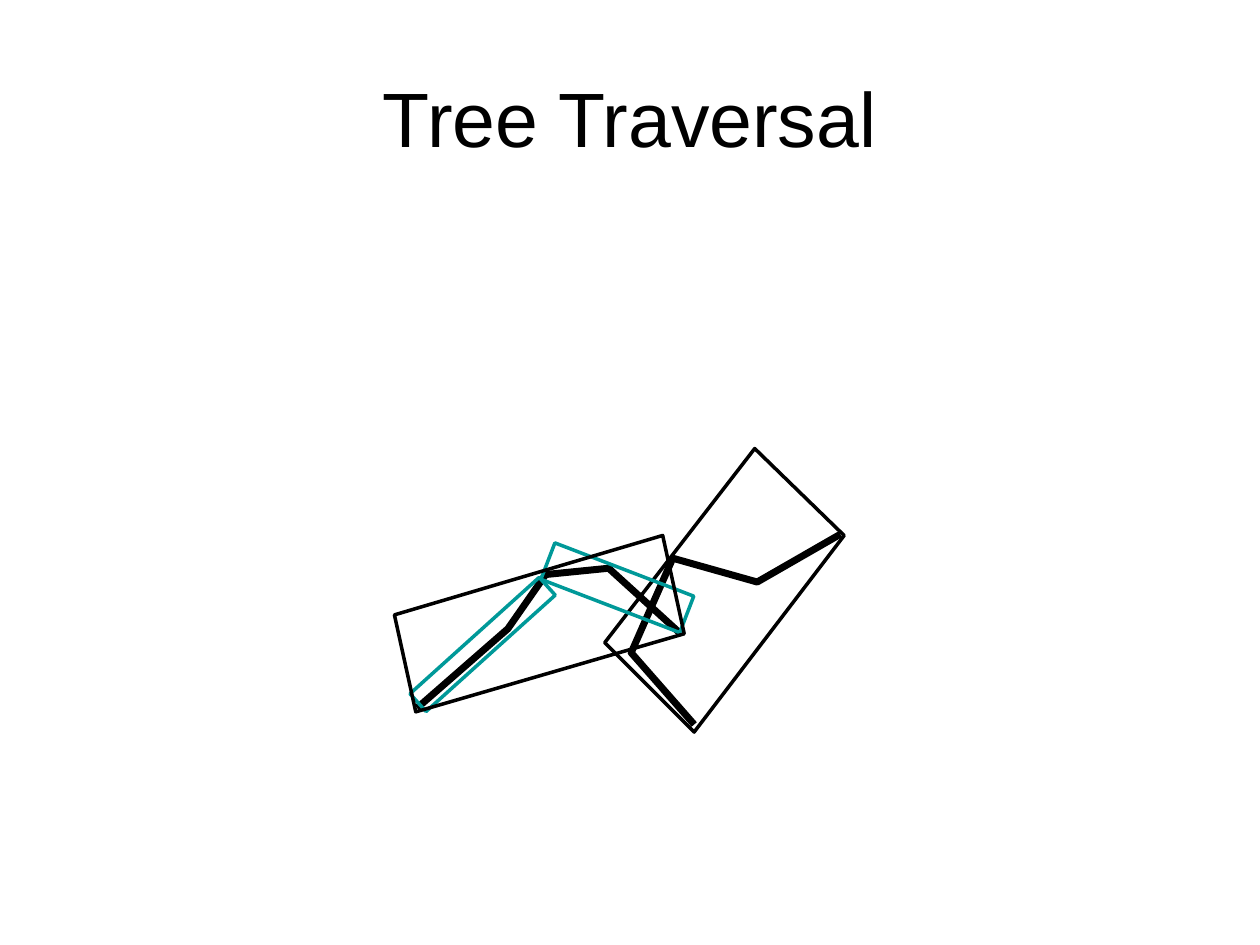
import pptx
import pptx.util
import pptx.dml.color
import pptx.enum.shapes
import pptx.enum.text

Pt = pptx.util.Pt
BLACK, TEAL = "000000", "009999"
THICK, THIN = 4, 2

left_curve = [(238.3, 404.6), (290.2, 359.3), (311.8, 328.3), (347.8, 324.7), (388.1, 361.4)]
right_curve = [(396.7, 414), (360.7, 373), (384.5, 319), (432.7, 332.6), (480.2, 305.3)]
left_box = [(378.7, 306), (391, 362.2), (237.6, 406.8), (225.4, 351.4)]
right_box = [(431.3, 256.3), (482.4, 306), (396.7, 418.3), (345.6, 367.2)]
child_boxes = [((226.1, 361.4, 99.4, 13.7), 318), ((310.3, 324.7, 85, 22.3), 21)]


def color(code):
    return pptx.dml.color.RGBColor.from_string(code)


def outline(shape, code, width):
    shape.shadow.inherit = False
    shape.fill.background()
    shape.line.color.rgb = color(code)
    shape.line.width = Pt(width)


def draw(group, points, width, close=False):
    spots = [(Pt(x), Pt(y)) for x, y in points]
    builder = group.shapes.build_freeform(*spots[0], scale=1.0)
    builder.add_line_segments(spots[1:], close=close)
    outline(builder.convert_to_shape(), BLACK, width)


def turn(group, place, angle):
    kind = pptx.enum.shapes.MSO_SHAPE.RECTANGLE
    box = group.shapes.add_shape(kind, *map(Pt, place))
    box.rotation = angle
    outline(box, TEAL, THIN)


def write(slide, text, place, size=44, font="Arial", code=BLACK):
    frame = slide.shapes.add_textbox(*map(Pt, place)).text_frame
    frame.word_wrap = True
    frame.vertical_anchor = pptx.enum.text.MSO_ANCHOR.MIDDLE
    para = frame.paragraphs[0]
    para.alignment = pptx.enum.text.PP_ALIGN.CENTER
    run = para.add_run()
    run.text = text
    run.font.size = Pt(size)
    run.font.name = font
    run.font.color.rgb = color(code)


def main():
    deck = pptx.Presentation()
    deck.slide_width, deck.slide_height = Pt(720), Pt(540)
    slide = deck.slides.add_slide(deck.slide_layouts[6])
    tree = slide.shapes.add_group_shape()
    draw(tree, left_curve, THICK)
    draw(tree, right_box, THIN, close=True)
    draw(tree, right_curve, THICK)
    for place, angle in child_boxes:
        turn(tree, place, angle)
    draw(tree, left_box, THIN, close=True)
    write(slide, "Tree Traversal", (36, 21.6, 648, 90))
    deck.save("out.pptx")


if __name__ == "__main__":
    main()
